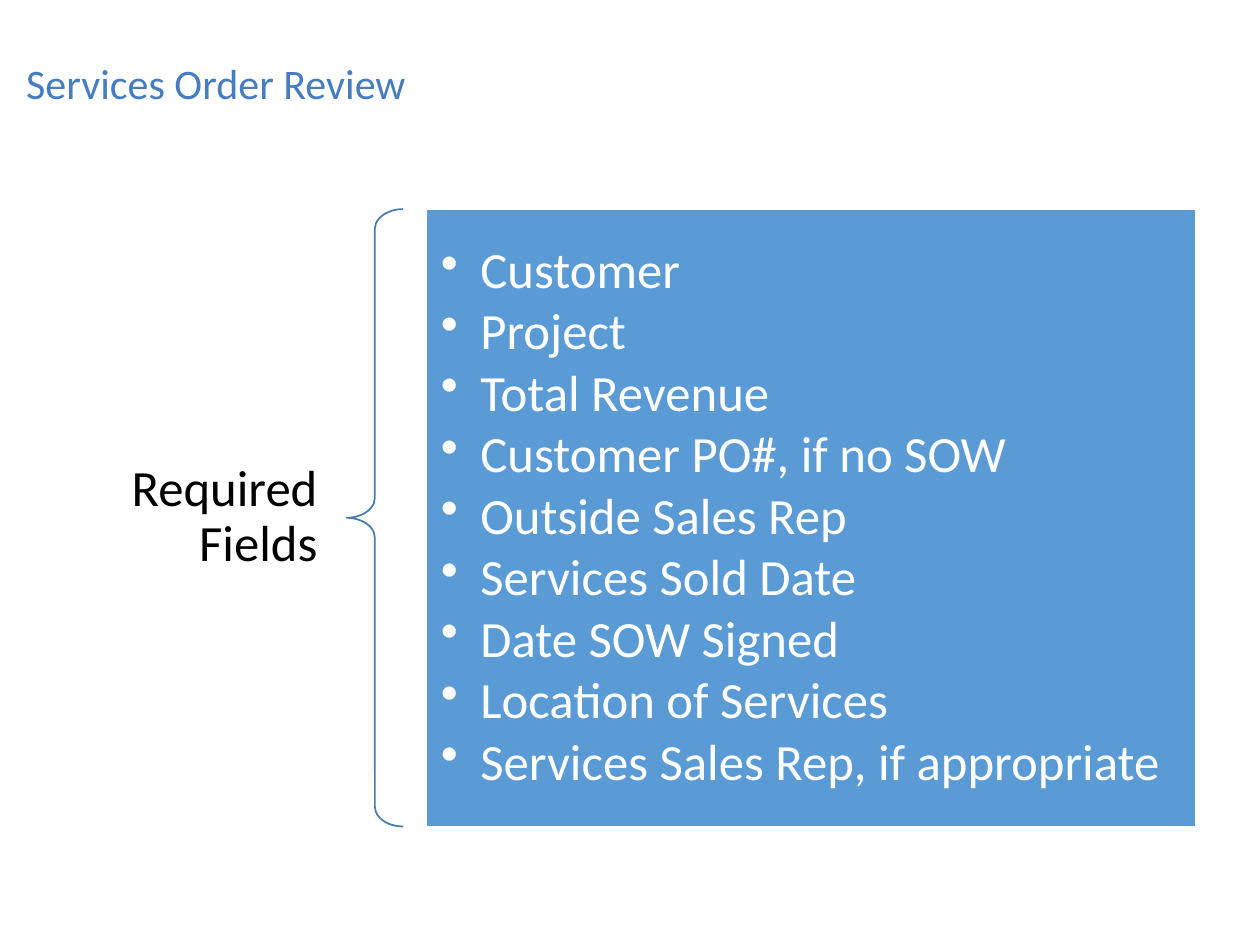
"""Build the slide listing the required fields of a services order review."""
import dataclasses
import typing

import lxml.etree
import pptx
import pptx.dml.color
import pptx.enum.shapes
import pptx.enum.text
import pptx.oxml.ns
import pptx.util

Pt = pptx.util.Pt
RGB = pptx.dml.color.RGBColor
Align = pptx.enum.text.PP_ALIGN
Kind = pptx.enum.shapes.MSO_SHAPE

TITLE = RGB(0x46, 0x7C, 0xC0)
BRACE = RGB(0x49, 0x7C, 0xAB)
PANEL = RGB(0x5B, 0x9B, 0xD5)
WHITE = RGB(0xFF, 0xFF, 0xFF)
BLACK = RGB(0, 0, 0)

FIELDS = [
    "Customer",
    "Project",
    "Total Revenue",
    "Customer PO#, if no SOW",
    "Outside Sales Rep",
    "Services Sold Date",
    "Date SOW Signed",
    "Location of Services",
    "Services Sales Rep, if appropriate",
]


@dataclasses.dataclass(frozen=True)
class Box:
    left: float
    top: float
    width: float
    height: float

    def place(self) -> tuple:
        return Pt(self.left), Pt(self.top), Pt(self.width), Pt(self.height)


def bullet(para: typing.Any, indent: float) -> None:
    props = para._p.get_or_add_pPr()
    props.set("marL", str(Pt(indent)))
    props.set("indent", str(-Pt(indent)))
    mark = lxml.etree.SubElement(props, pptx.oxml.ns.qn("a:buChar"))
    mark.set("char", "•")


def write(shape: typing.Any, lines: list[str], *, size: float, color: RGB,
          inset: tuple[float, float] = (7.2, 3.6), align: Align = Align.LEFT,
          after: float = 0, indent: float = 0) -> None:
    frame = shape.text_frame
    frame.word_wrap = True
    frame.vertical_anchor = pptx.enum.text.MSO_ANCHOR.MIDDLE
    frame.margin_left = frame.margin_right = Pt(inset[0])
    frame.margin_top = frame.margin_bottom = Pt(inset[1])
    frame.text = "\n".join(lines)
    for para in frame.paragraphs:
        para.alignment = align
        para.line_spacing = 0.9
        para.space_after = Pt(after)
        font = para.runs[0].font
        font.name, font.size, font.color.rgb = "Calibri", Pt(size), color
        if indent:
            bullet(para, indent)


def draw(slide: typing.Any, kind: Kind, box: Box, line: RGB,
         fill: RGB | None = None) -> typing.Any:
    shape = slide.shapes.add_shape(kind, *box.place())
    shape.shadow.inherit = False
    shape.line.color.rgb, shape.line.width = line, Pt(1)
    if fill is None:
        shape.fill.background()
    else:
        shape.fill.solid()
        shape.fill.fore_color.rgb = fill
    return shape


def main() -> None:
    deck = pptx.Presentation()
    deck.slide_width, deck.slide_height = Pt(720), Pt(540)
    slide = deck.slides.add_slide(deck.slide_layouts[6])

    title = slide.shapes.add_textbox(*Box(7.9, 18, 524, 62.6).place())
    write(title, ["Services Order Review"], size=24, color=TITLE)

    label = slide.shapes.add_textbox(*Box(36, 257.8, 162, 76.3).place())
    write(label, ["Required Fields"], size=29, color=BLACK,
          inset=(16.5, 5.8), align=Align.RIGHT)

    brace = draw(slide, Kind.LEFT_BRACE, Box(198, 119.5, 32.4, 352.8), BRACE)
    brace.adjustments[0] = 0.35

    panel = draw(slide, Kind.RECTANGLE, Box(243.4, 119.5, 440, 352.8),
                 WHITE, PANEL)
    write(panel, FIELDS, size=29, color=WHITE, inset=(8.6, 8.6),
          after=3.8, indent=22.5)

    deck.save("out.pptx")


if __name__ == "__main__":
    main()
